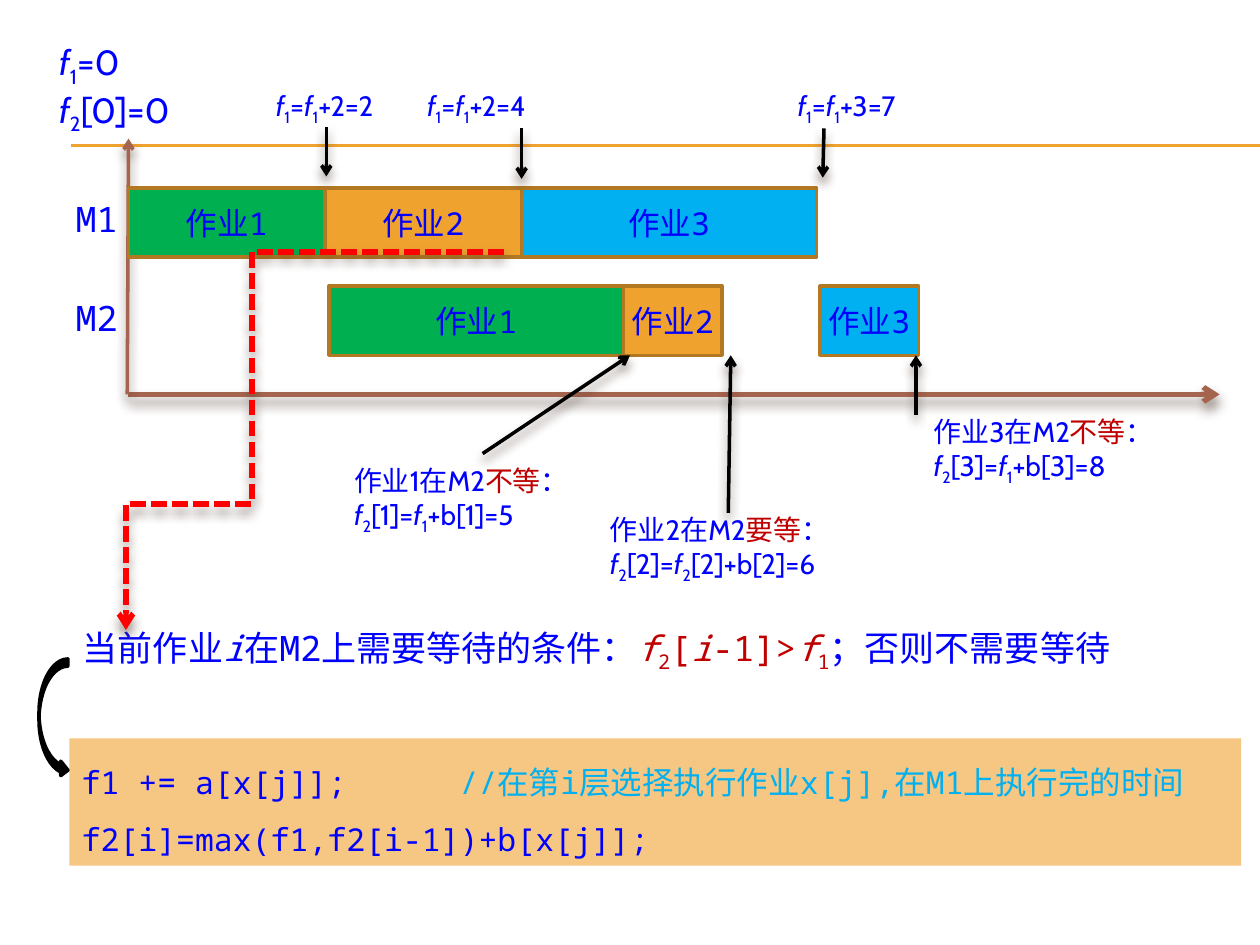
from typing import NamedTuple

from lxml.etree import SubElement
from pptx import Presentation
from pptx.dml.color import RGBColor
from pptx.enum.dml import MSO_LINE
from pptx.enum.shapes import MSO_CONNECTOR as Connector, MSO_SHAPE as Shape
from pptx.enum.text import MSO_ANCHOR as Anchor, PP_ALIGN as Align
from pptx.oxml.ns import qn
from pptx.util import Inches, Pt

BLUE, RED, CYAN, BLACK = "0000FF", "C00000", "00B0F0", "000000"
GREEN, ORANGE, BROWN = "00B050", "F0A22E", "A5644E"
SANS, MONO = "Cabin", "Noto Sans Mono"
UNIT, BAR_HEIGHT = 0.78, 0.55
JOB_COLORS = {1: GREEN, 2: ORANGE, 3: CYAN}


class Run(NamedTuple):
    text: str
    color: str = BLUE
    italic: bool = False
    subscript: bool = False


class Machine(NamedTuple):
    name: str
    origin: float
    top: float
    starts: tuple
    durations: tuple


class Event(NamedTuple):
    left: float
    arrow: tuple
    ending: str


class Callout(NamedTuple):
    box: tuple
    arrow: tuple
    job: int
    verdict: str
    previous: Run
    ending: str


MACHINES = [
    Machine("M1", 1.02, 1.49, (0, 2, 4), (2, 2, 3)),
    Machine("M2", 1.05, 2.27, (2, 5, 7), (3, 1, 1)),
]
EVENTS = [
    Event(2.19, (2.59, 1.01, 2.59, 1.4), "+2=2"),
    Event(3.39, (4.14, 1.02, 4.14, 1.42), "+2=4"),
    Event(6.33, (6.54, 1.02, 6.53, 1.41), "+3=7"),
]
CALLOUTS = [
    Callout((2.81, 3.68, 1.95, 0.54), (3.83, 3.6, 5, 2.82), 1, "不等", "1", "+b[1]=5"),
    Callout((4.84, 4.07, 1.88, 0.54), (5.78, 4.07, 5.8, 2.82), 2, "要等", "2", "[2]+b[2]=6"),
    Callout((7.41, 3.29, 2.03, 0.54), (7.27, 3.29, 7.27, 2.82), 3, "不等", "1", "+b[3]=8"),
]
CURVE_START = (4.14, 2.16)
CURVES = [
    ((3.07, 2.18), (2.77, 2.19), (2.51, 2.2), (2.34, 2.23)),
    ((2.34, 2.23), (2.18, 2.26), (2.16, 2.26), (2.07, 2.37)),
    ((2.07, 2.37), (1.98, 2.48), (1.92, 2.49), (1.79, 2.9)),
    ((1.79, 2.9), (1.67, 3.32), (1.51, 4.1), (1.34, 4.88)),
]


def rgb(color: str) -> RGBColor:
    return RGBColor.from_string(color)


def finish(target, color: str, width: float, arrow: bool = True) -> None:
    target.line.color.rgb = rgb(color)
    target.line.width = Pt(width)
    properties = target._element.spPr
    effects = SubElement(properties, qn("a:effectLst"))
    if arrow:
        SubElement(properties.find(qn("a:ln")), qn("a:tailEnd"), type="arrow")
        shadow = SubElement(effects, qn("a:outerShdw"), blurRad=str(Pt(6)),
                            dist=str(Pt(4)), dir="5400000", rotWithShape="0")
        tint = SubElement(shadow, qn("a:srgbClr"), val="4E3B30")
        SubElement(tint, qn("a:alpha"), val="60000")


def draw_line(slide, ends: tuple, color: str = BLACK, width: float = 2, arrow: bool = True) -> None:
    connector = slide.shapes.add_connector(Connector.STRAIGHT, *map(Inches, ends))
    finish(connector, color, width, arrow)


def add_runs(paragraph, runs: list, size: float, font: str) -> None:
    for item in runs:
        run = paragraph.add_run()
        run.text = item.text
        run.font.size, run.font.name = Pt(size), font
        run.font.color.rgb = rgb(item.color)
        run.font.italic = item.italic
        if item.subscript:
            run._r.get_or_add_rPr().set("baseline", "-25000")


def draw_text(slide, box: tuple, lines: list, size: float, font: str = SANS,
              margins: tuple = (0, 0)) -> None:
    frame = slide.shapes.add_textbox(*map(Inches, box)).text_frame
    frame.word_wrap = True
    frame.margin_left = frame.margin_right = Inches(margins[0])
    frame.margin_top = frame.margin_bottom = Inches(margins[1])
    for index, runs in enumerate(lines):
        paragraph = frame.add_paragraph() if index else frame.paragraphs[0]
        add_runs(paragraph, runs, size, font)


def draw_shape(slide, kind, box: tuple, fill: str):
    shape = slide.shapes.add_shape(kind, *map(Inches, box))
    shape.shadow.inherit = False
    shape.fill.solid()
    shape.fill.fore_color.rgb = rgb(fill)
    shape.line.fill.background()
    return shape


def finish_time(number: str, color: str = BLUE) -> list:
    return [Run("f", color, italic=True), Run(number, color, subscript=True)]


def draw_machine(slide, machine: Machine) -> None:
    draw_text(slide, (0.6, machine.top + 0.08, 0.55, 0.34), [[Run(machine.name)]], 20, MONO)
    for job, (start, duration) in enumerate(zip(machine.starts, machine.durations), 1):
        box = (machine.origin + start * UNIT, machine.top, duration * UNIT, BAR_HEIGHT)
        bar = draw_shape(slide, Shape.RECTANGLE, box, JOB_COLORS[job])
        bar.line.color.rgb = rgb("B27822")
        bar.line.width = Pt(2)
        frame = bar.text_frame
        frame.margin_left = frame.margin_right = 0
        frame.word_wrap = False
        frame.vertical_anchor = Anchor.MIDDLE
        frame.paragraphs[0].alignment = Align.CENTER
        add_runs(frame.paragraphs[0], [Run(f"作业{job}")], 18, MONO)


def draw_wait_curve(slide) -> None:
    points = [CURVES[0][0]]
    steps = 16
    for curve in CURVES:
        for step in range(1, steps + 1):
            t = step / steps
            weights = ((1 - t) ** 3, 3 * t * (1 - t) ** 2, 3 * t * t * (1 - t), t ** 3)
            points.append(tuple(sum(w * p[axis] for w, p in zip(weights, curve))
                                for axis in (0, 1)))
    builder = slide.shapes.build_freeform(*CURVE_START, scale=Inches(1))
    builder.add_line_segments(points, close=False)
    curve_shape = builder.convert_to_shape()
    curve_shape.fill.background()
    curve_shape.line.dash_style = MSO_LINE.SQUARE_DOT
    finish(curve_shape, "FF0000", 3)


def draw_code(slide) -> None:
    panel = draw_shape(slide, Shape.RECTANGLE, (0.55, 5.86, 9.3, 1.01), "F6C782")
    frame = panel.text_frame
    frame.word_wrap = True
    frame.vertical_anchor = Anchor.TOP
    lines = [
        [Run("f1 += a[x[j]];\t"), Run("//在第i层选择执行作业x[j],在M1上执行完的时间", CYAN)],
        [Run("f2[i]=max(f1,f2[i-1])+b[x[j]];")],
    ]
    for index, runs in enumerate(lines):
        paragraph = frame.add_paragraph() if index else frame.paragraphs[0]
        paragraph.alignment = Align.LEFT
        paragraph.line_spacing = 1.5
        tabs = SubElement(paragraph._p.get_or_add_pPr(), qn("a:tabLst"))
        SubElement(tabs, qn("a:tab"), pos=str(Inches(3)), algn="l")
        add_runs(paragraph, runs, 18, MONO)


def main() -> None:
    """Build the two-machine job scheduling slide."""
    presentation = Presentation()
    presentation.slide_width, presentation.slide_height = Inches(10), Inches(7.5)
    slide = presentation.slides.add_slide(presentation.slide_layouts[6])
    for y in (1.15, 1.16):
        draw_line(slide, (0.56, y, 10, y), ORANGE, 0.75, arrow=False)
    draw_line(slide, (1.02, 3.13, 9.68, 3.13), BROWN, 3)
    draw_line(slide, (1.01, 3.13, 1.02, 1.1), BROWN, 2)
    for machine in MACHINES:
        draw_machine(slide, machine)
    initial = [finish_time("1") + [Run("=0")], finish_time("2") + [Run("[0]=0")]]
    draw_text(slide, (0.47, 0.32, 1.02, 0.67), initial, 20)
    for event in EVENTS:
        runs = finish_time("1") + [Run("=")] + finish_time("1") + [Run(event.ending)]
        draw_text(slide, (event.left, 0.7, 1.09, 0.27), [runs], 16)
        draw_line(slide, event.arrow)
    for note in CALLOUTS:
        runs = [Run(f"作业{note.job}在M2"), Run(note.verdict, RED), Run("：")]
        runs += finish_time("2") + [Run(f"[{note.job}]=")]
        runs += finish_time(note.previous) + [Run(note.ending)]
        draw_text(slide, note.box, [runs], 16)
        draw_line(slide, note.arrow)
    condition = [Run("当前作业"), Run("i", italic=True), Run("在M2上需要等待的条件：")]
    condition += finish_time("2", RED) + [Run("[", RED), Run("i", RED, italic=True), Run("-1]>", RED)]
    condition += finish_time("1", RED) + [Run("；否则不需要等待")]
    draw_text(slide, (0.56, 4.92, 8.83, 0.44), [condition], 20, MONO, (0.1, 0.05))
    draw_wait_curve(slide)
    draw_code(slide)
    arrow = draw_shape(slide, Shape.CURVED_RIGHT_ARROW, (0.31, 5.23, 0.23, 0.94), BLACK)
    arrow.line.color.rgb = rgb(BLACK)
    arrow.line.width = Pt(2)
    presentation.save("out.pptx")


if __name__ == "__main__":
    main()
